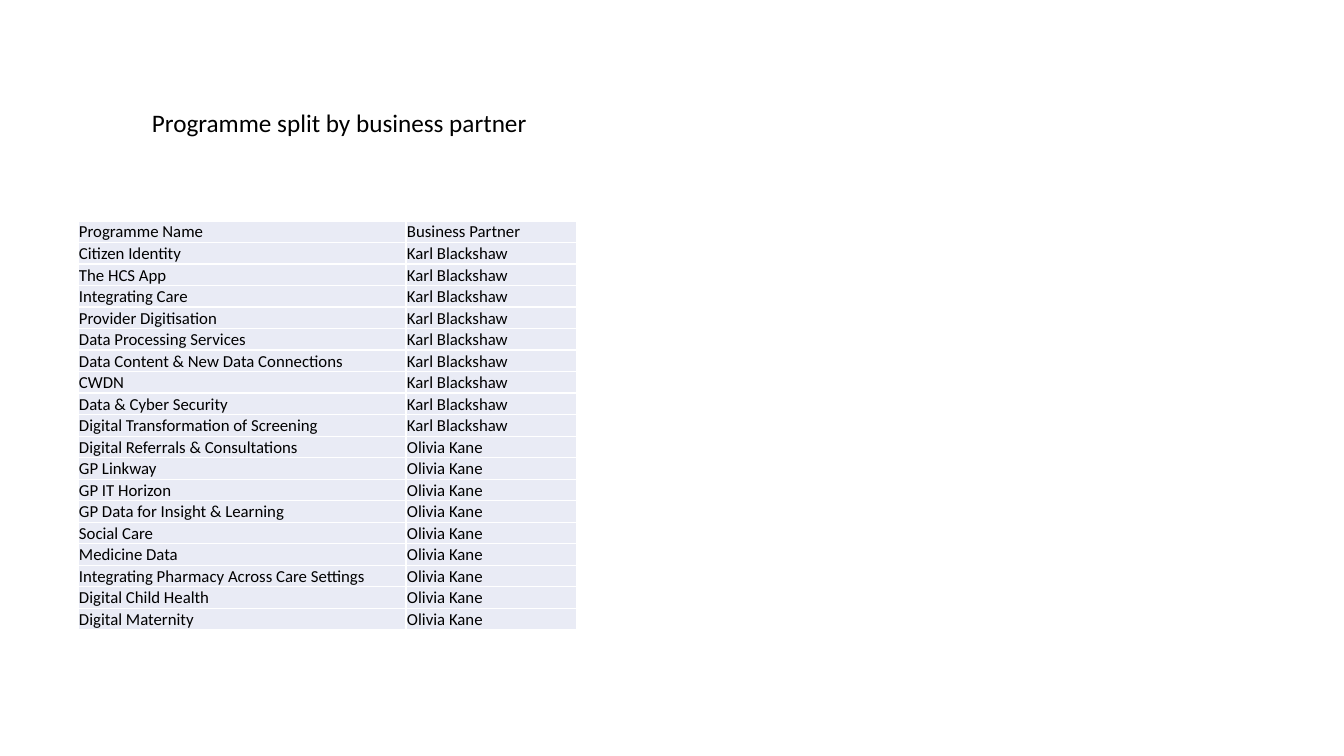
from lxml.etree import SubElement
from pptx import Presentation
from pptx.dml.color import RGBColor
from pptx.enum.text import MSO_ANCHOR as Anchor, MSO_AUTO_SIZE as AutoSize
from pptx.oxml.ns import qn
from pptx.util import Emu, Pt

EMU_PER_PX = 914400 / 100.8
FONT = "Calibri"
BLACK, WHITE, PALE_BLUE = "000000", "FFFFFF", "E9EBF5"

HEADINGS = ("Programme Name", "Business Partner")
PROGRAMMES_BY_PARTNER = {
    "Karl Blackshaw": (
        "Citizen Identity",
        "The HCS App",
        "Integrating Care",
        "Provider Digitisation",
        "Data Processing Services",
        "Data Content & New Data Connections",
        "CWDN",
        "Data & Cyber Security",
        "Digital Transformation of Screening",
    ),
    "Olivia Kane": (
        "Digital Referrals & Consultations",
        "GP Linkway",
        "GP IT Horizon",
        "GP Data for Insight & Learning",
        "Social Care",
        "Medicine Data",
        "Integrating Pharmacy Across Care Settings",
        "Digital Child Health",
        "Digital Maternity",
    ),
}


def px(length):
    return Emu(round(length * EMU_PER_PX))


def color(hex_string):
    return RGBColor.from_string(hex_string)


def write_text(frame, text, size=12, font=FONT, text_color=BLACK):
    run = frame.paragraphs[0].add_run()
    run.text = text
    run.font.size = Pt(size)
    run.font.name = font
    run.font.color.rgb = color(text_color)


def add_title(slide, text, left, top, width, height):
    frame = slide.shapes.add_textbox(px(left), px(top), px(width), px(height)).text_frame
    frame.word_wrap = True
    frame.auto_size = AutoSize.SHAPE_TO_FIT_TEXT
    write_text(frame, text, size=18)


def set_borders(cell, line_color, width):
    properties = cell._tc.get_or_add_tcPr()
    for side in ("a:lnL", "a:lnR", "a:lnT", "a:lnB"):
        line = SubElement(properties, qn(side), w=str(Pt(width)))
        fill = SubElement(line, qn("a:solidFill"))
        SubElement(fill, qn("a:srgbClr"), val=line_color)


def format_cell(cell, text):
    cell.margin_left = cell.margin_right = cell.margin_top = px(1)
    cell.margin_bottom = 0
    cell.vertical_anchor = Anchor.BOTTOM
    set_borders(cell, WHITE, 1)
    cell.fill.solid()
    cell.fill.fore_color.rgb = color(PALE_BLUE)
    write_text(cell.text_frame, text)


def add_programme_table(slide, rows, left, top, column_widths, row_height):
    table = slide.shapes.add_table(
        len(rows), len(column_widths), px(left), px(top),
        px(sum(column_widths)), px(row_height * len(rows)),
    ).table
    table.first_row = table.horz_banding = False
    for column, width in zip(table.columns, column_widths):
        column.width = px(width)
    for table_row, texts in zip(table.rows, rows):
        table_row.height = px(row_height)
        for cell, text in zip(table_row.cells, texts):
            format_cell(cell, text)


def main():
    deck = Presentation()
    deck.slide_width, deck.slide_height = px(1344), px(756)
    slide = deck.slides.add_slide(deck.slide_layouts[6])

    assignments = [
        (programme, partner)
        for partner, programmes in PROGRAMMES_BY_PARTNER.items()
        for programme in programmes
    ]
    add_programme_table(slide, [HEADINGS, *assignments], 78, 221, (328, 171), 21)
    add_title(slide, "Programme split by business partner", 142, 102, 822, 40)
    deck.save("out.pptx")


if __name__ == "__main__":
    main()
